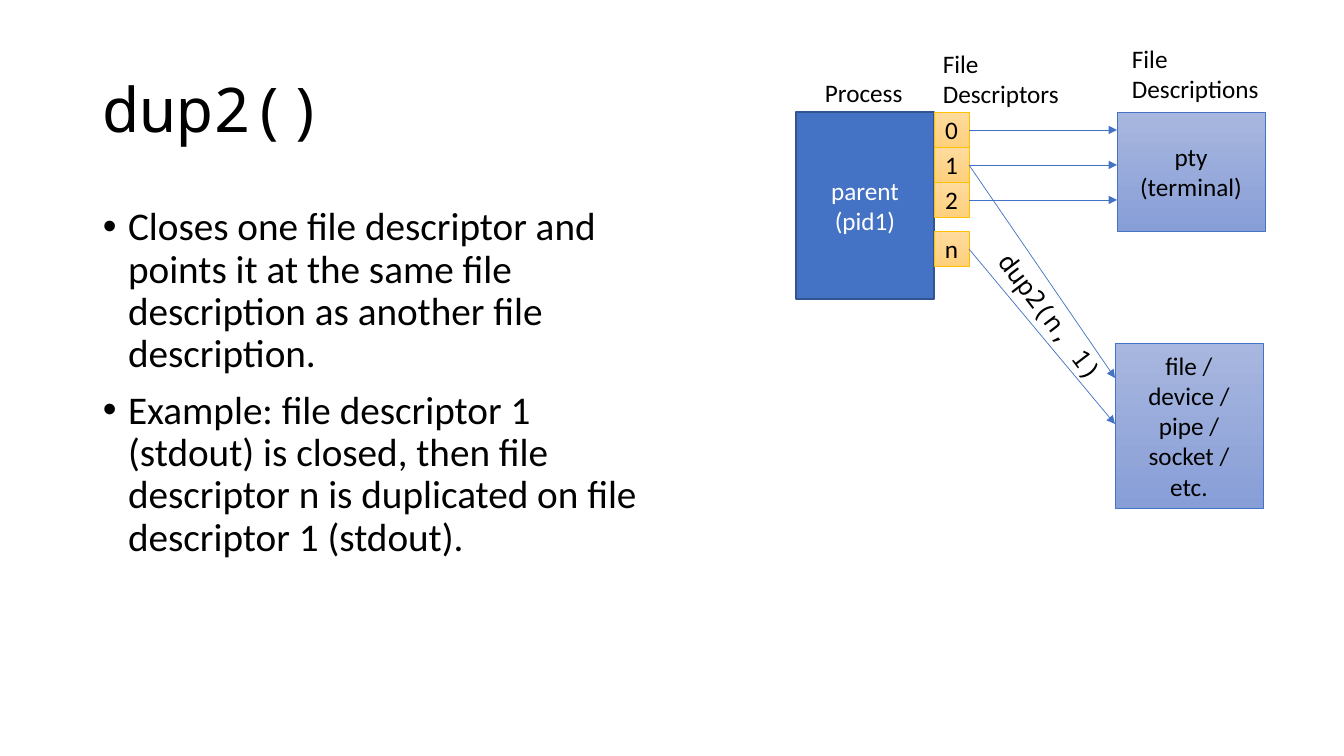
from lxml.etree import SubElement
from pptx import Presentation
from pptx.dml.color import RGBColor
from pptx.enum.shapes import MSO_CONNECTOR as Connector, MSO_SHAPE as Preset
from pptx.enum.text import MSO_ANCHOR as Anchor, PP_ALIGN as Align
from pptx.oxml.ns import qn
from pptx.util import Emu, Pt

THEME = {
    "body_font": "Calibri", "code_font": "Noto Sans Mono",
    "title_size": 44, "body_size": 28, "label_size": 18,
    "ink": "000000", "white": "FFFFFF", "blue": "4472C4",
    "process": {"fill": ["4472C4"], "line": "325491", "width": 1},
    "descriptor": {"fill": ["FFDB9E", "FFD07C"], "line": "FFC000", "width": 0.5},
    "description": {"fill": ["A8B7DF", "889ED7"], "line": "4472C4", "width": 0.5},
}

TITLE = "dup2()"
BULLETS = [
    "Closes one file descriptor and points it at the same file description "
    "as another file description.",
    "Example: file descriptor 1 (stdout) is closed, then file descriptor n "
    "is duplicated on file descriptor 1 (stdout).",
]
LABELS = [
    (["Process"], (815, 72, 99, 40)),
    (["File", "Descriptors"], (933, 43, 137, 72)),
    (["File", "Descriptions"], (1122, 38, 148, 72)),
]
PARENT = (["parent", "(pid1)"], (796, 112, 138, 187))
TERMINAL = (["pty", "(terminal)"], (1117, 112, 148, 119))
OUTPUT = (["file /", "device /", "pipe /", "socket /", "etc."],
          (1115, 343, 148, 165))
CALL = (["dup2(n, 1)"], (965, 297, 172, 40))
CALL_ANGLE = 52.7

CELL_LEFT, CELL_WIDTH, CELL_HEIGHT = 934, 35, 35
CELL_TOPS = {str(i): 112 + i * CELL_HEIGHT for i in range(3)} | {"n": 231}
TERMINAL_LINKS = ["0", "1", "2"]
OUTPUT_LINKS = {"n": 424, "1": 378}

PIXEL = 914400 / 100.8


def px(*lengths):
    """Turn pixel lengths into EMU."""
    return [Emu(round(length * PIXEL)) for length in lengths]


def rgb(name):
    """Look a theme colour up, or read it as hexadecimal."""
    return RGBColor.from_string(THEME.get(name, name))


def write(shape, lines, font="body_font", size="label_size", color="ink",
          frame_format=None, para_format=None):
    """Write one paragraph per line with the given formats."""
    frame = shape.text_frame
    for key, value in (frame_format or {}).items():
        setattr(frame, key, value)
    for index, line in enumerate(lines):
        para = frame.paragraphs[0] if index == 0 else frame.add_paragraph()
        for key, value in (para_format or {}).items():
            setattr(para, key, value)
        span = para.add_run()
        span.text = line
        span.font.name = THEME[font]
        span.font.size = Pt(THEME[size])
        span.font.color.rgb = rgb(color)
    return frame


def add_text(page, lines, place, **formats):
    """Add a text box and return it."""
    box = page.shapes.add_textbox(*px(*place))
    write(box, lines, **formats)
    return box


def add_box(page, lines, place, style, color="ink"):
    """Add a filled rectangle with centred text."""
    look = THEME[style]
    box = page.shapes.add_shape(Preset.RECTANGLE, *px(*place))
    box.shadow.inherit = False
    if len(look["fill"]) == 1:
        box.fill.solid()
        box.fill.fore_color.rgb = rgb(look["fill"][0])
    else:
        box.fill.gradient()
        box.fill.gradient_angle = 270
        for stop, shade in zip(box.fill.gradient_stops, look["fill"]):
            stop.color.rgb = rgb(shade)
    box.line.color.rgb = rgb(look["line"])
    box.line.width = Pt(look["width"])
    write(box, lines, color=color,
          frame_format={"word_wrap": False, "vertical_anchor": Anchor.MIDDLE},
          para_format={"alignment": Align.CENTER})


def add_arrow(page, start, end):
    """Add a thin blue arrow between two points."""
    arrow = page.shapes.add_connector(Connector.STRAIGHT, *px(*start, *end))
    arrow.line.color.rgb = rgb("blue")
    arrow.line.width = Pt(0.5)
    SubElement(arrow.line._get_or_add_ln(), qn("a:tailEnd"), type="triangle")
    SubElement(arrow._element.spPr, qn("a:effectLst"))


def add_bullets(page, lines, place):
    """Add the bulleted body text."""
    box = add_text(page, lines, place, size="body_size",
                   frame_format={"word_wrap": True},
                   para_format={"line_spacing": 0.9, "space_before": Pt(10)})
    for para in box.text_frame.paragraphs:
        props = para._p.get_or_add_pPr()
        props.set("marL", "228600")
        props.set("indent", "-228600")
        SubElement(props, qn("a:buFont"), typeface="Arial")
        SubElement(props, qn("a:buChar"), char="•")


def add_diagram(page):
    """Draw the process, its descriptors and what they point at."""
    add_box(page, *PARENT, "process", "white")
    add_box(page, *TERMINAL, "description")
    add_box(page, *OUTPUT, "description")
    for name, top in CELL_TOPS.items():
        add_box(page, [name], (CELL_LEFT, top, CELL_WIDTH, CELL_HEIGHT),
                "descriptor")

    ports = {name: (CELL_LEFT + CELL_WIDTH, top + CELL_HEIGHT // 2 + 1)
             for name, top in CELL_TOPS.items()}
    for name in TERMINAL_LINKS:
        add_arrow(page, ports[name], (TERMINAL[1][0], ports[name][1]))
    for name, height in OUTPUT_LINKS.items():
        add_arrow(page, ports[name], (OUTPUT[1][0], height))

    for lines, place in LABELS:
        add_text(page, lines, place, frame_format={"word_wrap": False})
    call = add_text(page, *CALL, font="code_font",
                    frame_format={"word_wrap": False})
    call.rotation = CALL_ANGLE


deck = Presentation()
deck.slide_width, deck.slide_height = px(1344, 756)
page = deck.slides.add_slide(deck.slide_layouts[6])
add_text(page, [TITLE], (93, 40, 1159, 146), font="code_font",
         size="title_size", para_format={"line_spacing": 0.9},
         frame_format={"word_wrap": True, "vertical_anchor": Anchor.MIDDLE})
add_bullets(page, BULLETS, (93, 202, 572, 480))
add_diagram(page)
deck.save("out.pptx")
